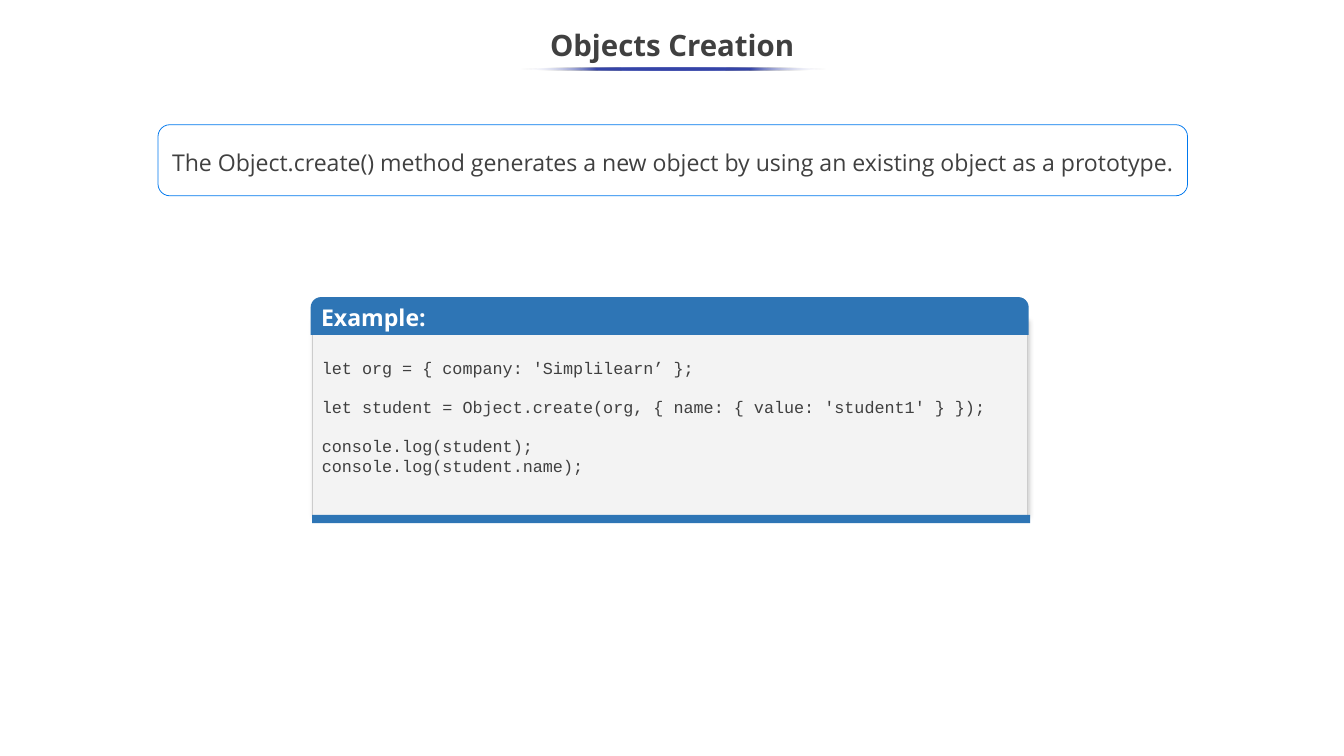
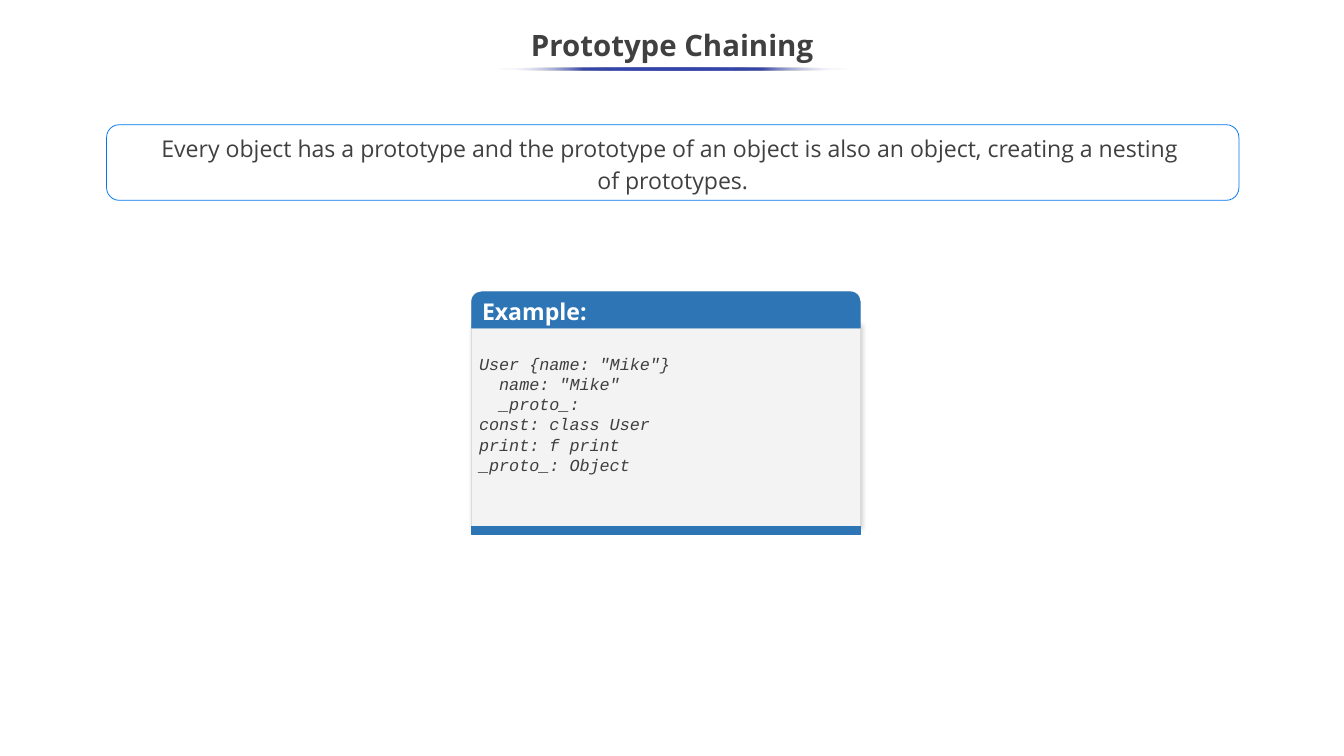
from lxml import etree
from pptx import Presentation
from pptx.dml.color import RGBColor
from pptx.enum.shapes import MSO_SHAPE
from pptx.enum.text import MSO_ANCHOR, MSO_AUTO_SIZE, PP_ALIGN
from pptx.oxml.ns import qn
from pptx.util import Inches, Pt

RECTANGLE = MSO_SHAPE.RECTANGLE
ROUNDED = MSO_SHAPE.ROUNDED_RECTANGLE
ROUND_TOP = MSO_SHAPE.ROUND_2_SAME_RECTANGLE
ELLIPSE = MSO_SHAPE.OVAL
MIDDLE = MSO_ANCHOR.MIDDLE
TOP = MSO_ANCHOR.TOP
LEFT = PP_ALIGN.LEFT
CENTER = PP_ALIGN.CENTER
JUSTIFY = PP_ALIGN.JUSTIFY
NO_FIT = MSO_AUTO_SIZE.NONE
GROW = MSO_AUTO_SIZE.SHAPE_TO_FIT_TEXT

BODY_FONT = "Open Sans"
CODE_FONT = "Courier New"
TEXT = "404040"
CODE_TEXT = "3F3F3F"
WHITE = "FFFFFF"
BAND = "2E75B5"
PANEL = "F3F3F3"
OUTLINE = "0078EE"
UNDERLINE = "3645A9"
CODE_LINE = 18.1


def color(value):
    return RGBColor.from_string(value)


def add_element(parent, tag, **attributes):
    element = etree.SubElement(parent, qn(tag))
    for name, value in attributes.items():
        element.set(name, str(value))
    return element


def add_color(parent, value, alpha):
    element = add_element(parent, "a:srgbClr", val=value)
    add_element(element, "a:alpha", val=alpha * 1000)


class Deck:
    def __init__(self):
        self.presentation = Presentation()
        self.presentation.slide_width = Inches(17.78)
        self.presentation.slide_height = Inches(10)
        self.slide = None

    def add_slide(self, title, underline_left, underline_width):
        layout = self.presentation.slide_layouts[5]
        self.slide = self.presentation.slides.add_slide(layout)
        shape = self.slide.shapes.title
        shape.left, shape.top = Inches(-0.01), Inches(0.25)
        shape.width, shape.height = Inches(17.8), Inches(0.75)
        shape.text_frame.auto_size = NO_FIT
        self.set_text(shape, [title], 28, TEXT, bold=True, align=CENTER, spacing=0.9)
        self.underline(underline_left, underline_width)

    def set_text(self, shape, lines, size, text_color, font=BODY_FONT, bold=False,
                 italic=False, align=LEFT, spacing=1.0, anchor=MIDDLE, inset=0.05):
        frame = shape.text_frame
        frame.word_wrap = True
        frame.vertical_anchor = anchor
        frame.margin_left = frame.margin_right = Inches(0.1)
        frame.margin_top = frame.margin_bottom = Inches(inset)
        gap = 0
        paragraph = frame.paragraphs[0]
        for index, line in enumerate(lines):
            if not line:
                gap += CODE_LINE
                continue
            if index:
                paragraph = frame.add_paragraph()
            paragraph.text = line
            paragraph.alignment = align
            paragraph.line_spacing = spacing
            paragraph.space_before = Pt(gap)
            gap = 0
            for run in paragraph.runs:
                run.font.name = font
                run.font.size = Pt(size)
                run.font.bold = bold
                run.font.italic = italic
                run.font.color.rgb = color(text_color)

    def shape(self, kind, box, fill=None, line=None, parent=None):
        container = (parent or self.slide).shapes
        shape = container.add_shape(kind, *map(Inches, box))
        shape.shadow.inherit = False
        if fill:
            shape.fill.solid()
            shape.fill.fore_color.rgb = color(fill)
        else:
            shape.fill.background()
        if line:
            shape.line.color.rgb = color(line)
            shape.line.width = Pt(0.75)
        else:
            shape.line.fill.background()
        return shape

    def underline(self, left, width):
        shape = self.shape(ELLIPSE, (left, 0.89, width, 0.04))
        shape.fill.gradient()
        shape.fill.gradient_angle = 180
        stops = shape._element.spPr.find(".//" + qn("a:gsLst"))
        for stop in list(stops):
            stops.remove(stop)
        for position in (0, 25, 50, 75, 100):
            faded = position in (0, 100)
            stop = add_element(stops, "a:gs", pos=position * 1000)
            add_color(stop, WHITE if faded else UNDERLINE, 0 if faded else 100)

    def statement(self, text, left, width, height):
        shape = self.shape(ROUNDED, (left, 1.65, width, height), line=OUTLINE)
        self.set_text(shape, [text], 22, TEXT, align=CENTER, spacing=1.15, inset=0)

    def add_shadow(self, shape):
        effects = shape._element.spPr.find(qn("a:effectLst"))
        shadow = add_element(effects, "a:outerShdw", blurRad=Pt(4.5), dist=Pt(1.5),
                             dir=47 * 60000, algn="tl", rotWithShape=0)
        add_color(shadow, "000000", 20)

    def example(self, body, header, footer, code_box, lines, body_line,
                band_line=None, italic=False, align=LEFT):
        group = self.slide.shapes.add_group_shape()
        self.add_shadow(self.shape(RECTANGLE, body, PANEL, body_line, group))
        heading = self.shape(ROUND_TOP, header, BAND, band_line, group)
        heading.adjustments[0] = 0.275
        self.set_text(heading, ["Example:"], 22, WHITE, bold=True)
        self.shape(RECTANGLE, footer, BAND, band_line, group)
        code = group.shapes.add_textbox(*map(Inches, code_box))
        code.text_frame.auto_size = GROW
        self.set_text(code, lines, 16, CODE_TEXT, font=CODE_FONT, italic=italic,
                      align=align, anchor=TOP)


def main():
    deck = Deck()

    deck.add_slide("Objects Creation", 6.88, 4.05)
    deck.example(
        body=(4.13, 4.23, 9.46, 2.59),
        header=(4.11, 3.93, 9.5, 0.5),
        footer=(4.13, 6.81, 9.5, 0.11),
        code_box=(4.16, 4.68, 9.5, 1.49),
        lines=[
            "let org = { company: 'Simplilearn’ };",
            "",
            "let student = Object.create(org, { name: { value: 'student1' } });",
            "",
            "console.log(student);",
            "console.log(student.name);",
        ],
        body_line="CCCCCC",
    )
    deck.statement("The Object.create() method generates a new object by using "
                   "an existing object as a prototype.", 2.09, 13.62, 0.94)

    deck.add_slide("Prototype Chaining", 6.56, 4.68)
    left, width = 6.24, 5.14
    deck.example(
        body=(left, 4.28, width, 2.7),
        header=(left, 3.86, width, 0.48),
        footer=(left, 6.96, width, 0.11),
        code_box=(left, 4.63, width, 1.72),
        lines=[
            'User {name: "Mike"}',
            '  name: "Mike"',
            "  _proto_:",
            "const: class User",
            "print: f print",
            "_proto_: Object",
        ],
        body_line="DBDBDB",
        band_line=BAND,
        italic=True,
        align=JUSTIFY,
    )
    deck.statement("Every object has a prototype and the prototype of an object is "
                   "also an object, creating a nesting \vof prototypes.",
                   1.41, 14.98, 1)

    deck.presentation.save("out.pptx")


if __name__ == "__main__":
    main()
